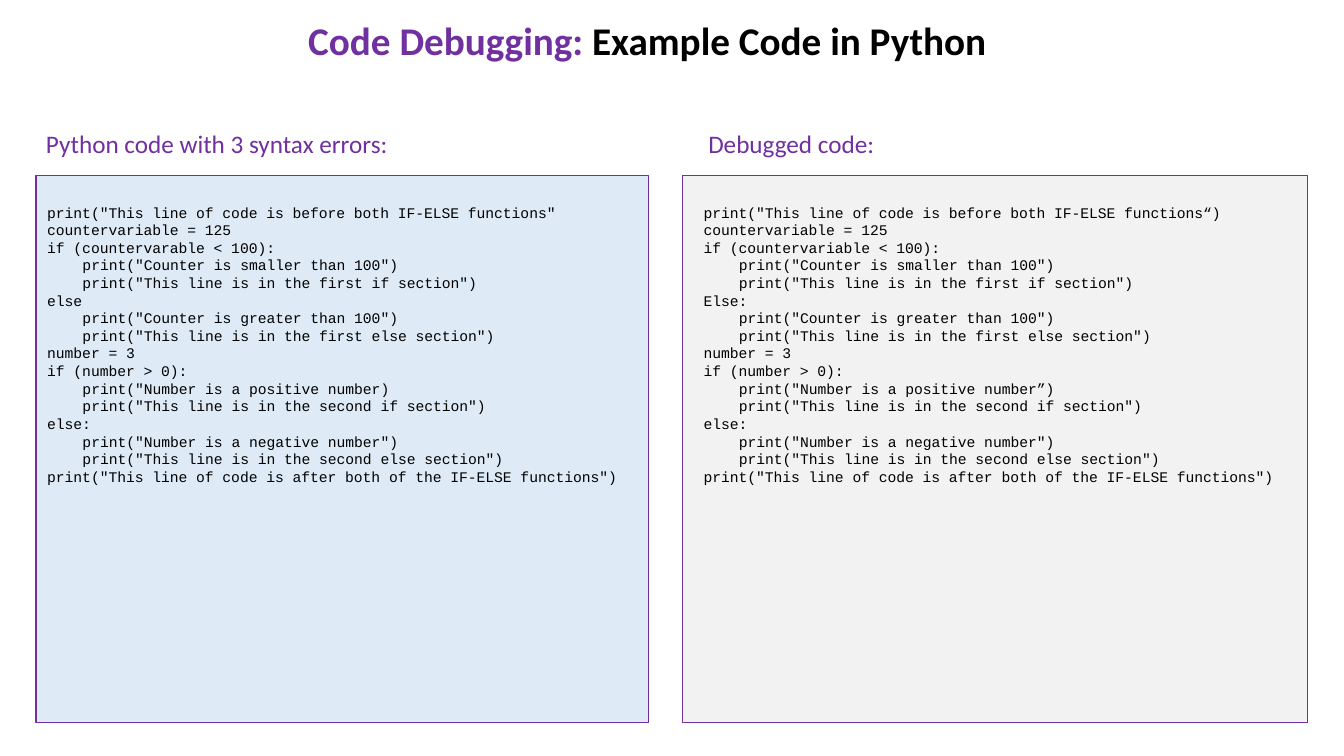
from pptx import Presentation
from pptx.dml.color import RGBColor
from pptx.enum.shapes import MSO_SHAPE
from pptx.enum.text import PP_ALIGN
from pptx.util import Cm, Pt

PURPLE = RGBColor(0x70, 0x30, 0xA0)
BLACK = RGBColor(0x00, 0x00, 0x00)
PALE_BLUE = RGBColor(0xDE, 0xEB, 0xF7)
PALE_GREY = RGBColor(0xF2, 0xF2, 0xF2)

FAULTY_CODE = '''\
print("This line of code is before both IF-ELSE functions"
countervariable = 125
if (countervarable < 100):
    print("Counter is smaller than 100")
    print("This line is in the first if section")
else
    print("Counter is greater than 100")
    print("This line is in the first else section")
number = 3
if (number > 0):
    print("Number is a positive number)
    print("This line is in the second if section")
else:
    print("Number is a negative number")
    print("This line is in the second else section")
print("This line of code is after both of the IF-ELSE functions")'''.split("\n")

# Faulty line -> corrected line
FIXES = {
    'print("This line of code is before both IF-ELSE functions"':
        'print("This line of code is before both IF-ELSE functions“)',
    'if (countervarable < 100):': 'if (countervariable < 100):',
    'else': 'Else:',
    '    print("Number is a positive number)':
        '    print("Number is a positive number”)',
}
DEBUGGED_CODE = [FIXES.get(line, line) for line in FAULTY_CODE]


class CodeSlide:
    text_font = "Calibri"
    code_font = "Courier New"
    code_size = 10.5
    code_indent = Cm(0.89)  # four characters of code

    def __init__(self, presentation):
        self.slide = presentation.slides.add_slide(presentation.slide_layouts[6])

    def text_box(self, left, top, width, height):
        box = self.slide.shapes.add_textbox(Cm(left), Cm(top), Cm(width), Cm(height))
        box.text_frame.word_wrap = True
        return box.text_frame

    def style(self, run, font, size, color, bold=False):
        run.font.name = font
        run.font.size = Pt(size)
        run.font.color.rgb = color
        run.font.bold = bold

    def title(self, topic, subject):
        paragraph = self.text_box(2.34, 0.28, 27.94, 1.45).paragraphs[0]
        paragraph.alignment = PP_ALIGN.CENTER
        for words, color in ((topic, PURPLE), (subject, BLACK)):
            run = paragraph.add_run()
            run.text = words
            self.style(run, self.text_font, 28, color, bold=True)

    def heading(self, words, left, width):
        frame = self.text_box(left, 3.1, width, 1.02)
        frame.text = words
        self.style(frame.paragraphs[0].runs[0], self.text_font, 18, PURPLE)

    def panel(self, left, width, color):
        panel = self.slide.shapes.add_shape(
            MSO_SHAPE.RECTANGLE, Cm(left), Cm(4.42), Cm(width), Cm(13.79))
        panel.shadow.inherit = False
        panel.fill.solid()
        panel.fill.fore_color.rgb = color
        panel.line.color.rgb = PURPLE
        panel.line.width = Pt(1)

    def code(self, lines, left):
        frame = self.text_box(left, 5, 15.67, 7.44)
        frame.text = "\n".join(line.strip() for line in lines)
        for paragraph, line in zip(frame.paragraphs, lines):
            if line.startswith(" "):
                paragraph._p.get_or_add_pPr().set("marL", str(self.code_indent))
            self.style(paragraph.runs[0], self.code_font, self.code_size, BLACK)


presentation = Presentation()
presentation.slide_width = Cm(33.87)
presentation.slide_height = Cm(19.05)
debugging = CodeSlide(presentation)

debugging.title("Code Debugging: ", "Example Code in Python")

# Left: code with errors
debugging.heading("Python code with 3 syntax errors:", 0.91, 10.64)
debugging.panel(0.91, 15.44, PALE_BLUE)
debugging.code(FAULTY_CODE, 0.94)

# Right: corrected code
debugging.heading("Debugged code:", 17.6, 7.09)
debugging.panel(17.2, 15.75, PALE_GREY)
debugging.code(DEBUGGED_CODE, 17.48)

presentation.save("out.pptx")
